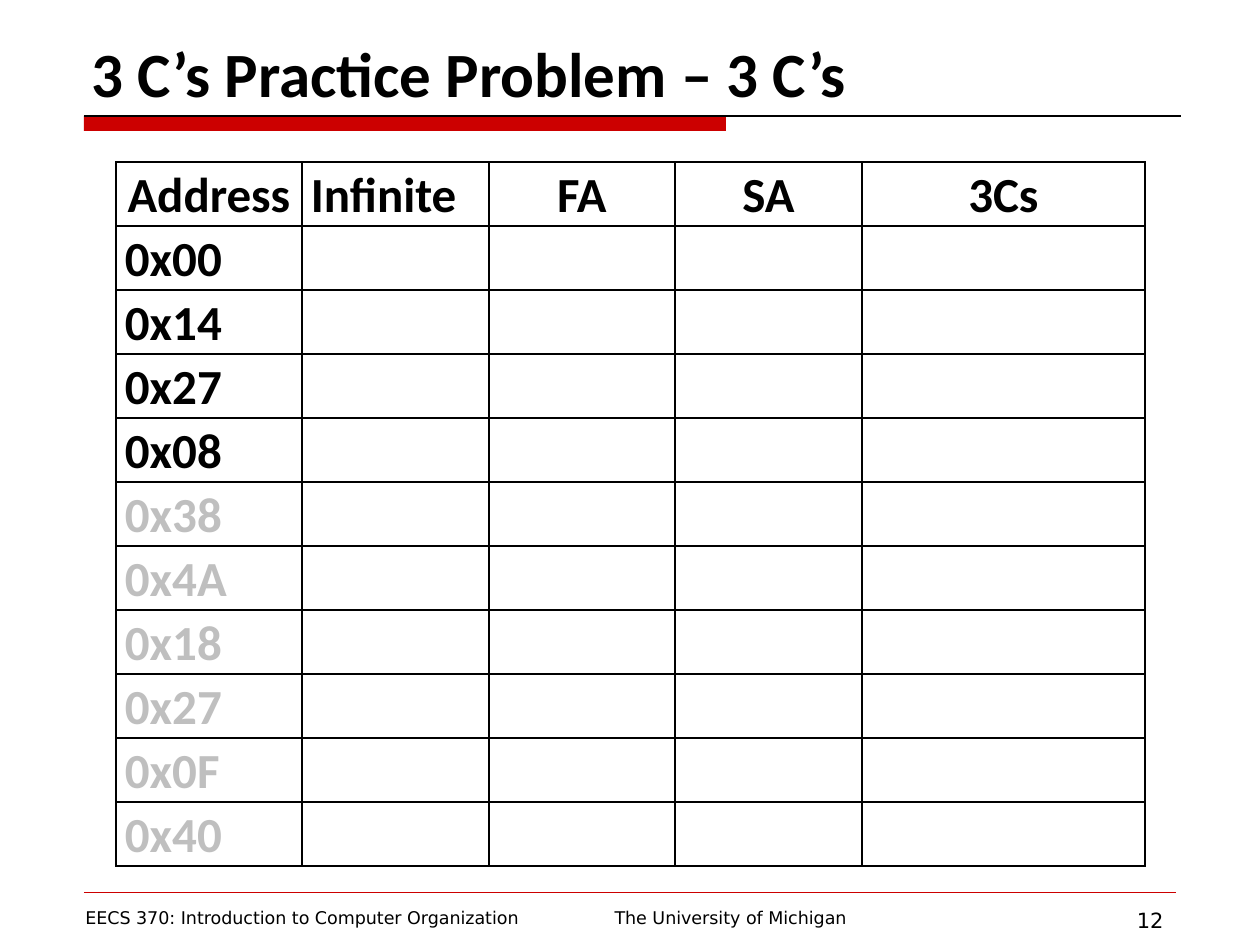
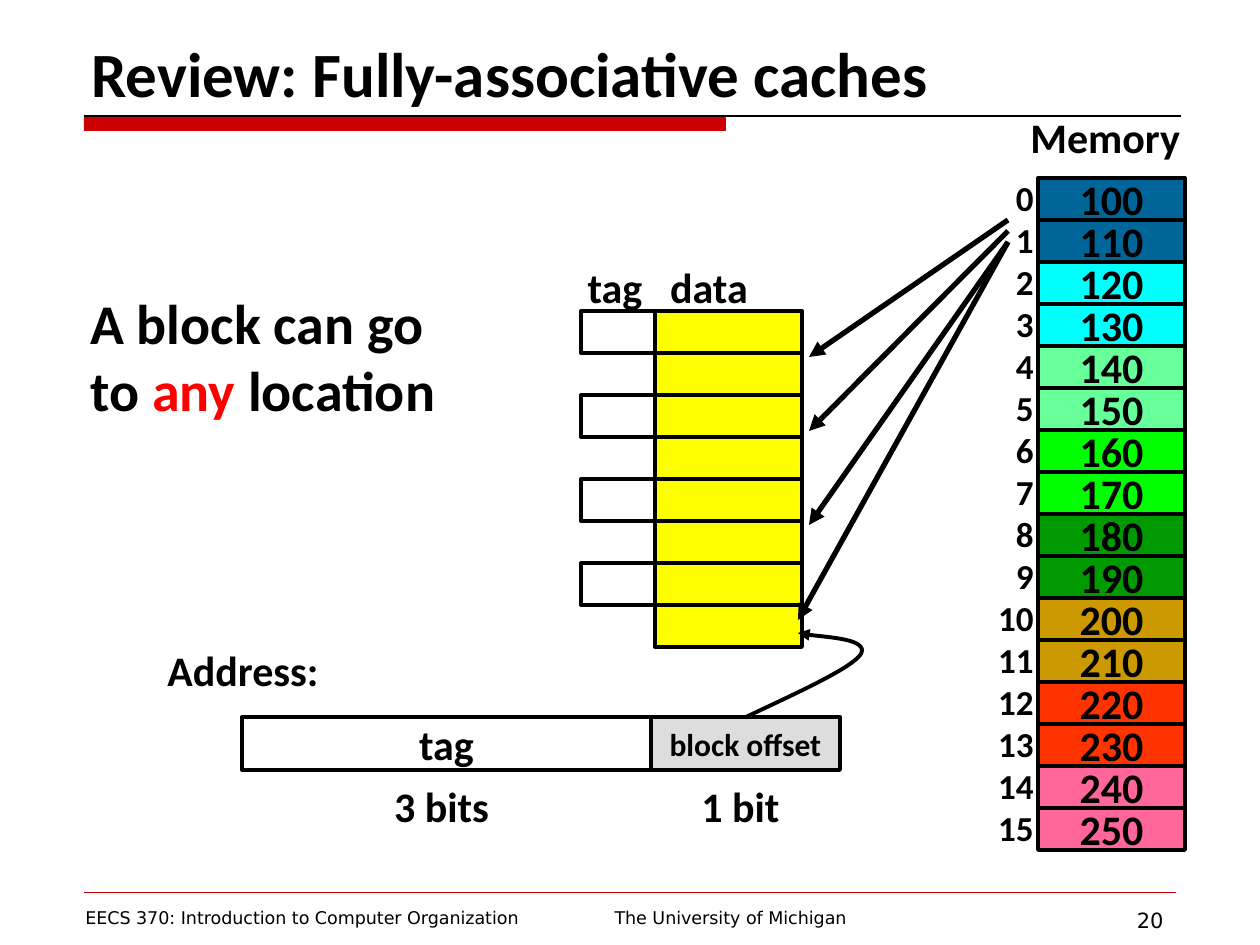
from pptx import Presentation
from pptx.dml.color import RGBColor
from pptx.enum.shapes import MSO_CONNECTOR, MSO_SHAPE
from pptx.enum.text import MSO_ANCHOR, PP_ALIGN
from pptx.oxml.ns import qn
from pptx.util import Pt
from lxml.etree import SubElement

SCALE = 914400 / 126
BLACK = RGBColor(0x00, 0x00, 0x00)
WHITE = RGBColor(0xFF, 0xFF, 0xFF)
RULE_RED = RGBColor(0xCC, 0x00, 0x00)
ACCENT_RED = RGBColor(0xFF, 0x00, 0x00)
FADED = RGBColor(0xBF, 0xBF, 0xBF)
OFFSET_GRAY = RGBColor(0xDD, 0xDD, 0xDD)
CACHE_YELLOW = RGBColor(0xFF, 0xFF, 0x00)
BLOCK_COLORS = [
    RGBColor(0x00, 0x66, 0x99),
    RGBColor(0x00, 0xFF, 0xFF),
    RGBColor(0x66, 0xFF, 0x99),
    RGBColor(0x00, 0xFF, 0x00),
    RGBColor(0x00, 0x99, 0x00),
    RGBColor(0xCC, 0x99, 0x00),
    RGBColor(0xFF, 0x33, 0x00),
    RGBColor(0xFF, 0x66, 0x99),
]
HEADING_FONT = "Calibri"
FOOTER_FONT = "DejaVu Sans"
CELL_HEIGHT = 42
CELL_WIDTH = 147


def px(length):
    return round(length * SCALE)


def emu(*lengths):
    return [px(length) for length in lengths]


def style_paragraph(paragraph, size, color=BLACK, align=PP_ALIGN.LEFT, font=HEADING_FONT, bold=True):
    paragraph.alignment = align
    paragraph.font.size = Pt(size)
    paragraph.font.name = font
    paragraph.font.bold = bold
    paragraph.font.color.rgb = color


def add_text(slide, box, text, size, anchor=MSO_ANCHOR.TOP, **style):
    frame = slide.shapes.add_textbox(*emu(*box)).text_frame
    frame.word_wrap = True
    frame.vertical_anchor = anchor
    frame.text = text
    for paragraph in frame.paragraphs:
        style_paragraph(paragraph, size, **style)
    return frame


def add_box(slide, box, fill, text="", size=24):
    shape = slide.shapes.add_shape(MSO_SHAPE.RECTANGLE, *emu(*box))
    shape.shadow.inherit = False
    shape.fill.solid()
    shape.fill.fore_color.rgb = fill
    shape.line.color.rgb = BLACK
    shape.line.width = Pt(2.25)
    if text:
        frame = shape.text_frame
        frame.word_wrap = False
        frame.vertical_anchor = MSO_ANCHOR.MIDDLE
        frame.text = text
        style_paragraph(frame.paragraphs[0], size, align=PP_ALIGN.CENTER)
    return shape


def add_arrowhead(shape):
    SubElement(shape.line._get_or_add_ln(), qn("a:tailEnd"), type="triangle")


def add_line(slide, start, end, width, color=BLACK):
    line = slide.shapes.add_connector(MSO_CONNECTOR.STRAIGHT, *emu(*start, *end))
    line.line.color.rgb = color
    line.line.width = Pt(width)
    SubElement(line.element.spPr, qn("a:effectLst"))
    return line


def add_curve(slide, start, points):
    builder = slide.shapes.build_freeform(*start, scale=SCALE)
    builder.add_line_segments(points, close=False)
    curve = builder.convert_to_shape()
    segments = list(curve.element.iter(qn("a:lnTo")))
    for first in range(0, len(segments), 3):
        outline = segments[first].getparent()
        bezier = SubElement(outline, qn("a:cubicBezTo"))
        for segment in segments[first:first + 3]:
            bezier.append(segment[0])
            outline.remove(segment)
    curve.shadow.inherit = False
    curve.fill.background()
    curve.line.color.rgb = BLACK
    curve.line.width = Pt(2.25)
    add_arrowhead(curve)


def add_frame(presentation, title, number):
    slide = presentation.slides.add_slide(presentation.slide_layouts[6])
    bar = slide.shapes.add_shape(MSO_SHAPE.RECTANGLE, *emu(84, 116, 642, 15))
    bar.shadow.inherit = False
    bar.fill.solid()
    bar.fill.fore_color.rgb = RULE_RED
    bar.line.fill.background()
    add_line(slide, (84, 116), (1181, 116), 0.75)
    add_line(slide, (84, 892), (1176, 892), 0.25, RULE_RED)
    add_text(slide, (79, 0, 1102, 116), title, 36, anchor=MSO_ANCHOR.BOTTOM)
    footers = [
        ((73, 901, 494, 34), "EECS 370: Introduction to Computer Organization", 10, PP_ALIGN.LEFT),
        ((494, 901, 473, 34), "The University of Michigan", 10, PP_ALIGN.CENTER),
        ((966, 901, 210, 34), str(number), 12, PP_ALIGN.RIGHT),
    ]
    for box, text, size, align in footers:
        add_text(slide, box, text, size, align=align, font=FOOTER_FONT, bold=False)
    return slide


def add_borders(cell):
    properties = cell._tc.get_or_add_tcPr()
    for side in ("a:lnL", "a:lnR", "a:lnT", "a:lnB"):
        border = SubElement(properties, qn(side), w=str(Pt(1)))
        fill = SubElement(border, qn("a:solidFill"))
        SubElement(fill, qn("a:srgbClr"), val=str(BLACK))


def add_address_table(slide, left, top):
    headers = ["Address", "Infinite", "FA", "SA", "3Cs"]
    addresses = ["0x00", "0x14", "0x27", "0x08", "0x38", "0x4A", "0x18", "0x27", "0x0F", "0x40"]
    widths = [186, 187, 186, 187, 283]
    active_count = 4
    row_height = 64
    rows = [headers] + [[address] + [""] * 4 for address in addresses]
    box = emu(left, top, sum(widths), row_height * len(rows))
    table = slide.shapes.add_table(len(rows), len(headers), *box).table
    table.first_row = False
    table.horz_banding = False
    for column, width in zip(table.columns, widths):
        column.width = px(width)
    for row_index, texts in enumerate(rows):
        table.rows[row_index].height = px(row_height)
        color = BLACK if row_index <= active_count else FADED
        for column_index, text in enumerate(texts):
            cell = table.cell(row_index, column_index)
            add_borders(cell)
            cell.fill.background()
            cell.margin_left = cell.margin_right = px(9)
            cell.margin_top = cell.margin_bottom = 0
            cell.text = text
            centered = row_index == 0 and text != "Infinite"
            paragraph = cell.text_frame.paragraphs[0]
            paragraph.line_spacing = 1.07
            style_paragraph(paragraph, 28, color, PP_ALIGN.CENTER if centered else PP_ALIGN.LEFT)


def add_cache(slide, left, top):
    tag_width = 74
    data_left = left + tag_width
    add_text(slide, (left - 16, top - 56, 100, 63), "tag", 24, align=PP_ALIGN.CENTER)
    add_text(slide, (data_left - 16, top - 56, 140, 63), "data", 24, align=PP_ALIGN.CENTER)
    for row in range(8):
        row_top = top + row * CELL_HEIGHT
        if row % 2 == 0:
            add_box(slide, (left, row_top, tag_width, CELL_HEIGHT), WHITE)
        add_box(slide, (data_left, row_top, CELL_WIDTH, CELL_HEIGHT), CACHE_YELLOW)


def add_memory(slide, left, top):
    add_text(slide, (left - 20, top - 73, 190, 63), "Memory", 24)
    for index in range(16):
        box = (left, top + index * CELL_HEIGHT, CELL_WIDTH, CELL_HEIGHT)
        add_box(slide, box, BLOCK_COLORS[index // 2], str(100 + 10 * index))
    numbers = "\n".join(str(index) for index in range(16))
    frame = add_text(slide, (left - 73, top - 8, 81, 690), numbers, 20, align=PP_ALIGN.RIGHT)
    for paragraph in frame.paragraphs:
        paragraph.line_spacing = Pt(24)


def add_address_fields(slide, left, top):
    add_text(slide, (left - 87, top - 79, 200, 64), "Address:", 24)
    fields = [
        (0, 409, WHITE, "tag", 24, "3 bits"),
        (409, 189, OFFSET_GRAY, "block offset", 18, "1 bit"),
    ]
    for offset, width, fill, name, size, bits in fields:
        add_box(slide, (left + offset, top, width, 53), fill, name, size)
        caption = (left + offset, top + 57, width - 10, 63)
        add_text(slide, caption, bits, 24, align=PP_ALIGN.CENTER)


def add_placement_note(slide, left, top):
    frame = add_text(slide, (left, top, 420, 149), "A block can go\n", 32)
    paragraph = frame.paragraphs[1]
    for text, color in [("to ", BLACK), ("any", ACCENT_RED), (" location", BLACK)]:
        run = paragraph.add_run()
        run.text = text
        run.font.color.rgb = color


def add_placement_arrows(slide):
    arrows = [
        ((1008, 220), (809, 357)),
        ((1008, 231), (809, 431)),
        ((1008, 242), (809, 525)),
        ((1008, 242), (798, 620)),
    ]
    for start, end in arrows:
        add_arrowhead(add_line(slide, start, end, 3))


def build_practice_slide(presentation):
    slide = add_frame(presentation, "3 C’s Practice Problem – 3 C’s", 12)
    add_address_table(slide, 116, 162)


def build_review_slide(presentation):
    slide = add_frame(presentation, "Review: Fully-associative caches", 20)
    add_cache(slide, 581, 311)
    add_address_fields(slide, 242, 717)
    offset_path = [(799, 692), (852, 668), (861, 654), (869, 639), (809, 636), (798, 633)]
    add_curve(slide, (746, 717), offset_path)
    add_placement_note(slide, 78, 282)
    add_memory(slide, 1038, 178)
    add_placement_arrows(slide)


def main():
    presentation = Presentation()
    presentation.slide_width, presentation.slide_height = emu(1260, 945)
    build_practice_slide(presentation)
    build_review_slide(presentation)
    presentation.save("out.pptx")


if __name__ == "__main__":
    main()
